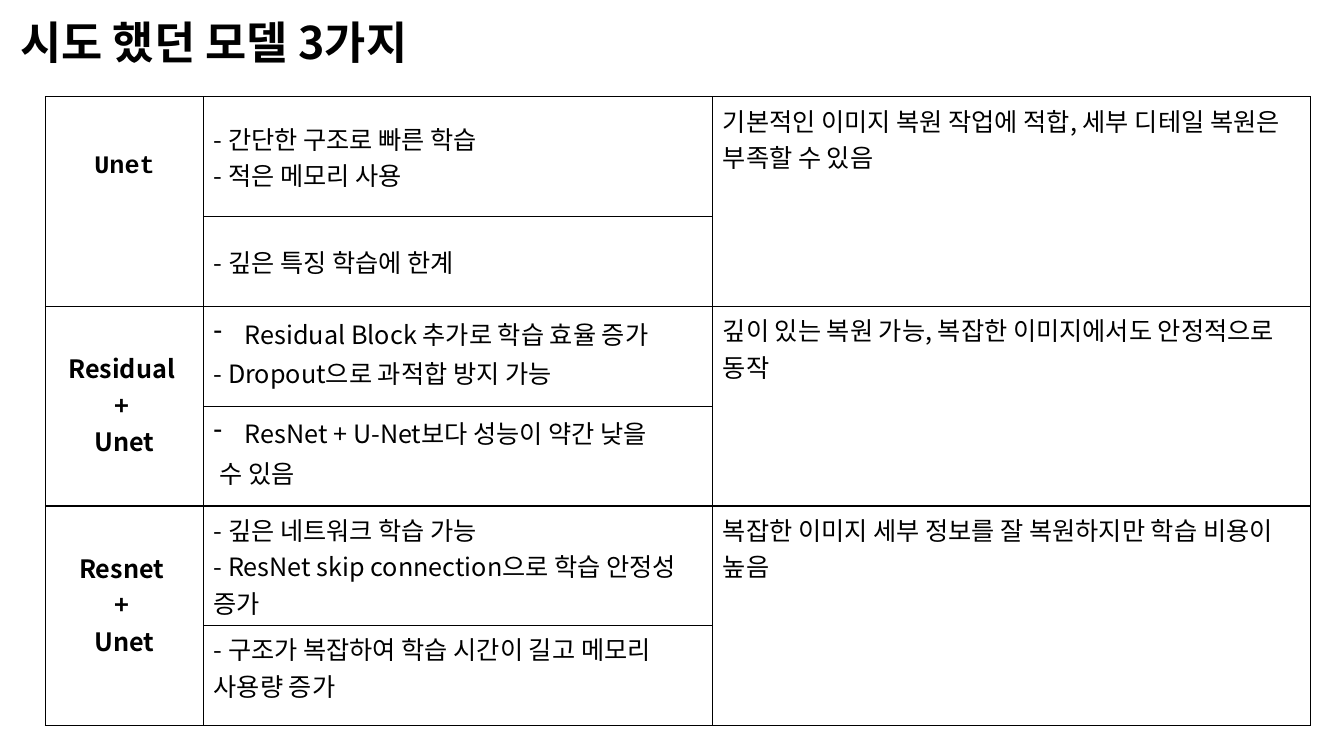
import dataclasses

import lxml.etree
import pptx
import pptx.dml.color
import pptx.enum.text
import pptx.oxml.ns
import pptx.util

Inches = pptx.util.Inches
Pt = pptx.util.Pt
Align = pptx.enum.text.PP_ALIGN
Anchor = pptx.enum.text.MSO_ANCHOR


@dataclasses.dataclass(frozen=True)
class Theme:
    font: str = "Noto Sans CJK KR"
    code_font: str = "Courier New"
    ink: str = "000000"
    title_size: int = 32
    cell_size: int = 18
    border_width: int = 1
    tight_line: float = 14.2
    hanging: float = 0.31


THEME = Theme()
TITLE = "시도 했던 모델 3가지"

# Each model fills two rows: name, strengths, weaknesses and verdict.
MODELS = [
    {
        "name": {"lines": ["Unet"], "top": 0.64, "tight": True, "font": THEME.code_font},
        "strengths": {"lines": ["- 간단한 구조로 빠른 학습", "- 적은 메모리 사용"],
                      "anchor": Anchor.MIDDLE},
        "weaknesses": {"lines": ["- 깊은 특징 학습에 한계"], "anchor": Anchor.MIDDLE},
        "verdict": {"lines": ["기본적인 이미지 복원 작업에 적합, 세부 디테일 복원은 부족할 수 있음"]},
    },
    {
        "name": {"lines": ["Residual ", "+ ", "Unet"], "top": 0.43},
        "strengths": {"lines": ["Residual Block 추가로 학습 효율 증가", "- Dropout으로 과적합 방지 가능"],
                      "top": 0.25, "tight": True, "bullet_first": True},
        "weaknesses": {"lines": ["ResNet + U-Net보다 성능이 약간 낮을", " 수 있음"],
                       "top": 0.25, "tight": True, "bullet_first": True},
        "verdict": {"lines": ["깊이 있는 복원 가능, 복잡한 이미지에서도 안정적으로 동작"]},
    },
    {
        "name": {"lines": ["Resnet ", "+ ", "Unet"], "top": 0.43},
        "strengths": {"lines": ["- 깊은 네트워크 학습 가능",
                                "- ResNet skip connection으로 학습 안정성 증가"]},
        "weaknesses": {"lines": ["- 구조가 복잡하여 학습 시간이 길고 메모리 사용량 증가"]},
        "verdict": {"lines": ["복잡한 이미지 세부 정보를 잘 복원하지만 학습 비용이 높음"]},
    },
]
COLUMN_WIDTHS = [1.57, 5.05, 5.93]
ROW_HEIGHTS = [1.19, 0.89, 0.99, 0.99, 1.16, 0.99]
TABLE_LEFT, TABLE_TOP = 0.45, 0.96


def add_run(paragraph, text, size, bold=False, font_name=THEME.font):
    run = paragraph.add_run()
    run.text = text
    font = run.font
    font.name, font.size, font.bold = font_name, Pt(size), bold
    font.color.rgb = pptx.dml.color.RGBColor.from_string(THEME.ink)
    east_asian = lxml.etree.Element(pptx.oxml.ns.qn("a:ea"), typeface=THEME.font)
    run._r.get_or_add_rPr().find(pptx.oxml.ns.qn("a:latin")).addnext(east_asian)


def add_dash_bullet(paragraph):
    properties = paragraph._p.get_or_add_pPr()
    indent = Inches(THEME.hanging)
    properties.set("marL", str(indent))
    properties.set("indent", str(-indent))
    lxml.etree.SubElement(properties, pptx.oxml.ns.qn("a:buChar"), char="-")


def style_cell(cell):
    """Give the cell a thin border on every side and no fill."""
    properties = cell._tc.get_or_add_tcPr()
    for side in ("lnL", "lnR", "lnT", "lnB"):
        line = lxml.etree.SubElement(properties, pptx.oxml.ns.qn("a:" + side),
                                     w=str(Pt(THEME.border_width)))
        fill = lxml.etree.SubElement(line, pptx.oxml.ns.qn("a:solidFill"))
        lxml.etree.SubElement(fill, pptx.oxml.ns.qn("a:srgbClr"), val=THEME.ink)
    cell.fill.background()


def write_cell(cell, lines, is_name=False, top=0.05, anchor=Anchor.TOP,
               tight=False, bullet_first=False, font=THEME.font):
    cell.margin_top = Inches(top)
    cell.vertical_anchor = anchor
    for index, text in enumerate(lines):
        frame = cell.text_frame
        paragraph = frame.add_paragraph() if index else frame.paragraphs[0]
        paragraph.alignment = Align.CENTER if is_name else Align.LEFT
        if tight:
            paragraph.line_spacing = Pt(THEME.tight_line)
            if index:
                paragraph.space_before = Pt(THEME.tight_line)
        if bullet_first and index == 0:
            add_dash_bullet(paragraph)
        add_run(paragraph, text, THEME.cell_size, is_name, font)


def add_title(slide):
    title = slide.shapes.title
    title.left, title.top = Inches(0.1), Inches(0.09)
    title.width, title.height = Inches(4.53), Inches(0.64)
    frame = title.text_frame
    frame.word_wrap = False
    frame.auto_size = pptx.enum.text.MSO_AUTO_SIZE.NONE
    frame.vertical_anchor = Anchor.MIDDLE
    frame.paragraphs[0].alignment = Align.LEFT
    add_run(frame.paragraphs[0], TITLE, THEME.title_size, bold=True)


def add_model_table(slide):
    table = slide.shapes.add_table(
        len(ROW_HEIGHTS), len(COLUMN_WIDTHS), Inches(TABLE_LEFT), Inches(TABLE_TOP),
        Inches(sum(COLUMN_WIDTHS)), Inches(sum(ROW_HEIGHTS))).table
    table.first_row = table.horz_banding = False
    for column, width in zip(table.columns, COLUMN_WIDTHS):
        column.width = Inches(width)
    for row, height in zip(table.rows, ROW_HEIGHTS):
        row.height = Inches(height)
    for cell in table.iter_cells():
        style_cell(cell)
    for index, model in enumerate(MODELS):
        upper, lower = 2 * index, 2 * index + 1
        for column in (0, 2):
            table.cell(upper, column).merge(table.cell(lower, column))
        write_cell(table.cell(upper, 0), is_name=True, **model["name"])
        write_cell(table.cell(upper, 1), **model["strengths"])
        write_cell(table.cell(lower, 1), **model["weaknesses"])
        write_cell(table.cell(upper, 2), **model["verdict"])


def main():
    presentation = pptx.Presentation()
    presentation.slide_width, presentation.slide_height = Inches(13.33), Inches(7.5)
    slide = presentation.slides.add_slide(presentation.slide_layouts.get_by_name("Title Only"))
    add_title(slide)
    add_model_table(slide)
    presentation.save("out.pptx")


if __name__ == "__main__":
    main()
